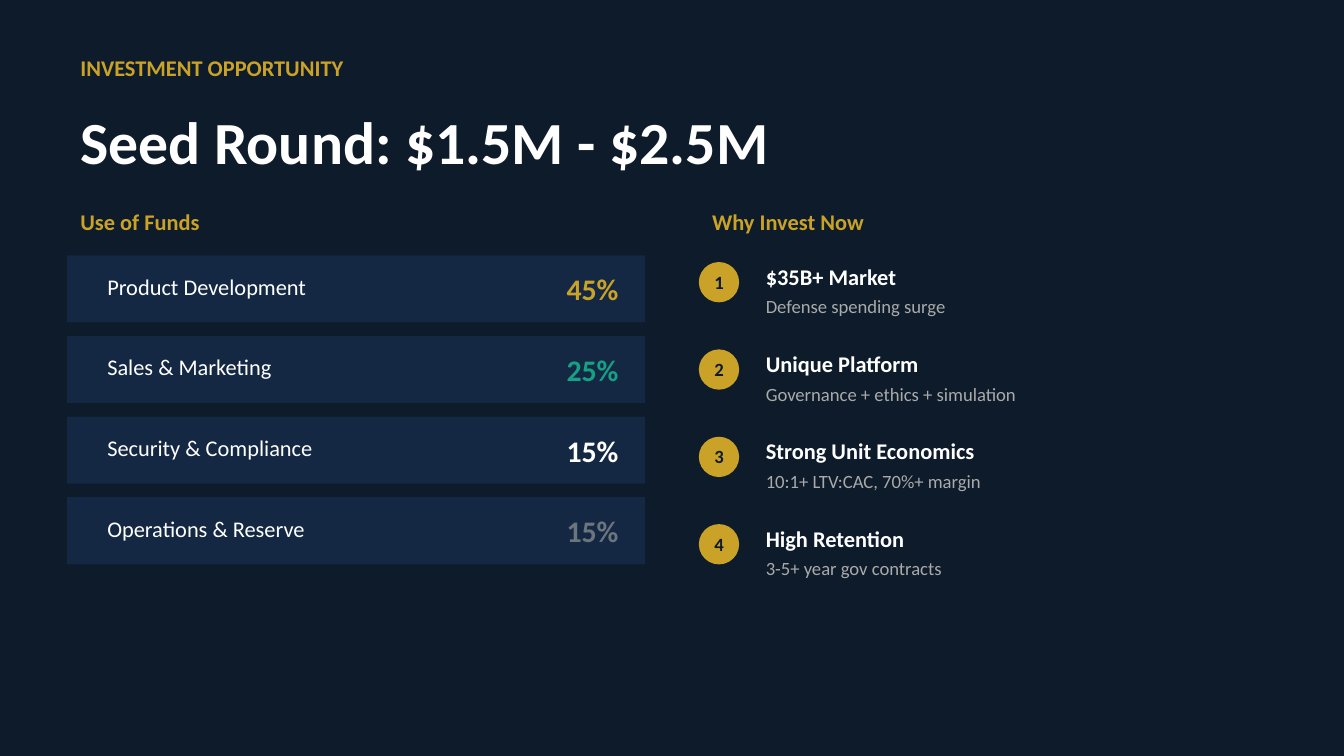
import pptx
import pptx.util
import pptx.dml.color
import pptx.enum.shapes
import pptx.enum.text
import pptx.oxml
import pptx.oxml.ns

NAVY, GOLD, WHITE, GREEN = "0D1B2A", "C9A227", "FFFFFF", "16A085"
PANEL, SLATE, SILVER = "1B365D", "6C757D", "AAAAAA"
LEFT, CENTER, RIGHT = (
    pptx.enum.text.PP_ALIGN.LEFT,
    pptx.enum.text.PP_ALIGN.CENTER,
    pptx.enum.text.PP_ALIGN.RIGHT,
)

deck = pptx.Presentation()
deck.slide_width = pptx.util.Inches(10)
deck.slide_height = deck.slide_width * 9 // 16
unit = deck.slide_width // 100
page = deck.slides.add_slide(deck.slide_layouts[6])


def paint(fill, color):
    fill.solid()
    fill.fore_color.rgb = pptx.dml.color.RGBColor.from_string(color)


def write(text, column, row, columns, rows, size=12, color=WHITE, bold=False, align=LEFT):
    area = [round(unit * step) for step in (column, row, columns, rows)]
    box = page.shapes.add_textbox(*area)
    box.text_frame.word_wrap = True
    box.text_frame.vertical_anchor = pptx.enum.text.MSO_ANCHOR.MIDDLE
    para = box.text_frame.paragraphs[0]
    para.alignment = align
    span = para.add_run()
    span.text = text
    span.font.name = "Calibri"
    span.font.size = pptx.util.Pt(size)
    span.font.bold = bold
    paint(span.font.fill, color)


paint(page.background.fill, NAVY)
write("INVESTMENT OPPORTUNITY", 5, 3, 40, 4, color=GOLD, bold=True)
write("Seed Round: $1.5M - $2.5M", 5, 7, 90, 7, size=32, bold=True)

write("Use of Funds", 5, 15, 30, 3, color=GOLD, bold=True)
funds = [
    ("Product Development", "45%", GOLD),
    ("Sales & Marketing", "25%", GREEN),
    ("Security & Compliance", "15%", WHITE),
    ("Operations & Reserve", "15%", SLATE),
]
for index, (purpose, share, color) in enumerate(funds):
    row = 19 + 6 * index
    bar = page.shapes.add_shape(
        pptx.enum.shapes.MSO_SHAPE.RECTANGLE, 5 * unit, row * unit, 43 * unit, 5 * unit
    )
    bar.shadow.inherit = False
    bar.line.fill.background()
    paint(bar.fill, PANEL)
    tint = bar.fill._xPr.find(".//" + pptx.oxml.ns.qn("a:srgbClr"))
    alpha = pptx.oxml.parse_xml("<a:alpha %s val='50000'/>" % pptx.oxml.ns.nsdecls("a"))
    tint.append(alpha)
    write(purpose, 7, row + 0.8, 28, 3)
    write(share, 38, row + 0.5, 9, 4, size=16, color=color, bold=True, align=RIGHT)

write("Why Invest Now", 52, 15, 30, 3, color=GOLD, bold=True)
reasons = [
    ("$35B+ Market", "Defense spending surge"),
    ("Unique Platform", "Governance + ethics + simulation"),
    ("Strong Unit Economics", "10:1+ LTV:CAC, 70%+ margin"),
    ("High Retention", "3-5+ year gov contracts"),
]
for index, (reason, detail) in enumerate(reasons):
    row = 19.5 + 6.5 * index
    badge = page.shapes.add_shape(
        pptx.enum.shapes.MSO_SHAPE.OVAL, 52 * unit, round(row * unit), 3 * unit, 3 * unit
    )
    badge.shadow.inherit = False
    badge.line.fill.background()
    paint(badge.fill, GOLD)
    write(str(index + 1), 52, row + 0.2, 3, 2.5, size=10, color=NAVY, bold=True, align=CENTER)
    write(reason, 56, row - 0.2, 40, 2.5, bold=True)
    write(detail, 56, row + 2.3, 40, 2, size=10, color=SILVER)

deck.save("out.pptx")
